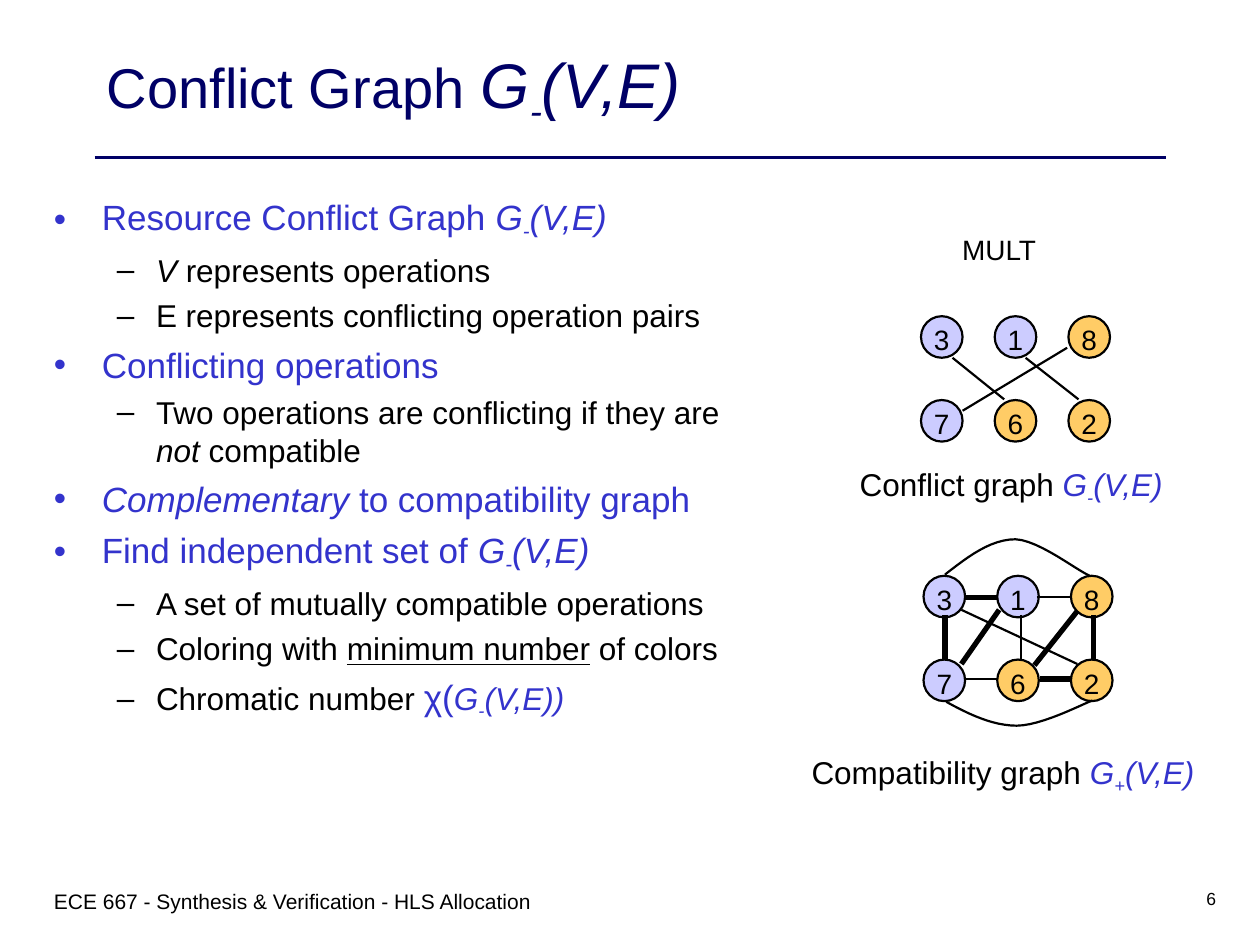
from lxml.etree import SubElement
from pptx import Presentation
from pptx.dml.color import RGBColor
from pptx.enum.shapes import MSO_CONNECTOR as Link, MSO_SHAPE as Shape
from pptx.enum.text import MSO_ANCHOR as Anchor, PP_ALIGN as Align
from pptx.oxml.ns import qn
from pptx.util import Inches, Pt

NAVY = RGBColor(0x00, 0x00, 0x66)
BLUE = RGBColor(0x33, 0x33, 0xCC)
BLACK = RGBColor(0x00, 0x00, 0x00)
LILAC = RGBColor(0xCC, 0xCC, 0xFF)
AMBER = RGBColor(0xFF, 0xCC, 0x66)

THIN, BOLD = 1.25, 3
NODE, STEP, ROW = 0.33, 0.585, 0.665
NODES = [("3", LILAC), ("1", LILAC), ("8", AMBER),
         ("7", LILAC), ("6", AMBER), ("2", AMBER)]

CLASH = [
    (0.25, 0.33, 0.66, 0.66, THIN),
    (0.83, 0.33, 1.25, 0.66, THIN),
    (1.16, 0.25, 0.33, 0.75, THIN),
]
MATCH = [
    (0.32, 0.17, 0.59, 0.17, BOLD),
    (0.17, 0.31, 0.17, 0.67, BOLD),
    (0.32, 0.82, 0.58, 0.82, THIN),
    (0.77, 0.31, 0.77, 0.67, THIN),
    (1.35, 0.31, 1.35, 0.67, BOLD),
    (0.9, 0.17, 1.17, 0.17, THIN),
    (0.92, 0.82, 1.18, 0.82, BOLD),
    (0.6, 0.27, 0.3, 0.7, BOLD),
    (1.22, 0.28, 0.88, 0.71, BOLD),
    (0.3, 0.27, 1.22, 0.7, THIN),
]
ARCS = [
    [(0.17, -0.01), (0.35, -0.15), (0.53, -0.29), (0.73, -0.29),
     (0.92, -0.28), (1.22, -0.04), (1.32, 0)],
    [(0.18, 1), (0.36, 1.1), (0.55, 1.19), (0.74, 1.19),
     (0.93, 1.19), (1.24, 1.03), (1.34, 0.99)],
]


def formula(sign="-", flags="i", tail="(V,E)", size=None):
    return [("G", flags, size), (sign, flags + "s", size), (tail, flags, size)]


POINTS = [
    (0, [("Resource Conflict Graph ",)] + formula()),
    (1, [("V ", "i"), ("represents operations",)]),
    (1, [("E represents conflicting operation pairs",)]),
    (0, [("Conflicting operations",)]),
    (1, [("Two operations are conflicting if they are ",), ("not", "i"),
         (" compatible",)]),
    (0, [("Complementary", "i"), (" to compatibility graph",)]),
    (0, [("Find independent set of ",)] + formula()),
    (1, [("A set of mutually compatible operations",)]),
    (1, [("Coloring with ",), ("minimum number", "u"), (" of colors",)]),
    (1, [("Chromatic number ",), ("χ(", "c", 20)] + formula("-", "ic", "(V,E))")),
]


def write(para, runs, size, color=BLACK):
    para.font.name = "Arial"
    para.font.size = Pt(size)
    para.font.color.rgb = color
    for text, *style in runs:
        flags, large = (style + ["", None])[:2] if style else ("", None)
        run = para.add_run()
        run.text = text
        if "i" in flags:
            run.font.italic = True
        if "u" in flags:
            run.font.underline = True
        if "c" in flags:
            run.font.color.rgb = BLUE
        if "s" in flags:
            run.font._element.set("baseline", "-25000")
        if large:
            run.font.size = Pt(large)


def frame(slide, box):
    text = slide.shapes.add_textbox(*map(Inches, box)).text_frame
    text.word_wrap = True
    return text


def label(slide, box, runs, size, align=Align.LEFT):
    para = frame(slide, box).paragraphs[0]
    para.alignment = align
    write(para, runs, size)


def line(shapes, x1, y1, x2, y2, width, color=BLACK):
    link = shapes.add_connector(Link.STRAIGHT, *map(Inches, (x1, y1, x2, y2)))
    link.line.width = Pt(width)
    link.line.color.rgb = color
    SubElement(link._element.spPr, qn("a:effectLst"))


def header(slide, box):
    left, top, wide, high = box
    line(slide.shapes, left, top + 0.92, left + wide, top + 0.92, 2.25, NAVY)
    text = frame(slide, box)
    text.vertical_anchor = Anchor.MIDDLE
    write(text.paragraphs[0], [("Conflict Graph ",)] + formula(size=36), 32, NAVY)


def bullet(para, level, color):
    props = para._p.get_or_add_pPr()
    left, hang = [(0.38, 0.38), (0.81, 0.31)][level]
    props.set("marL", str(Inches(left)))
    props.set("indent", str(-Inches(hang)))
    tint = SubElement(props, qn("a:buClr"))
    SubElement(tint, qn("a:srgbClr"), val=str(color))
    SubElement(props, qn("a:buFont"), typeface="Arial")
    SubElement(props, qn("a:buChar"), char="•–"[level])


def body(slide, box):
    text = frame(slide, box)
    for i, (level, runs) in enumerate(POINTS):
        para = text.add_paragraph() if i else text.paragraphs[0]
        para.level = level
        size, color = [(20, BLUE), (18, BLACK)][level]
        if i:
            para.space_before = Pt(size / 4)
        bullet(para, level, color)
        write(para, runs, size, color)


def node(shapes, x, y, name, fill):
    disc = shapes.add_shape(Shape.OVAL, *map(Inches, (x, y, NODE, NODE)))
    disc.shadow.inherit = False
    disc.fill.solid()
    disc.fill.fore_color.rgb = fill
    disc.line.color.rgb = BLACK
    disc.line.width = Pt(THIN)
    text = disc.text_frame
    text.word_wrap = False
    text.margin_left = text.margin_right = text.margin_bottom = 0
    text.margin_top = Inches(0.04)
    text.vertical_anchor = Anchor.MIDDLE
    para = text.paragraphs[0]
    para.alignment = Align.CENTER
    write(para, [(name,)], 16)


def bend(a, b, c, d, t):
    s = 1 - t
    return s**3 * a + 3 * s * s * t * b + 3 * s * t * t * c + t**3 * d


def arc(shapes, left, top, pts):
    dots = [(Inches(left + x), Inches(top + y)) for x, y in pts]
    path = []
    for i in range(0, len(dots) - 1, 3):
        xs, ys = zip(*dots[i:i + 4])
        path += [(bend(*xs, k / 12), bend(*ys, k / 12)) for k in range(1, 13)]
    pen = shapes.build_freeform(*dots[0])
    pen.add_line_segments(path, close=False)
    curve = pen.convert_to_shape()
    curve.shadow.inherit = False
    curve.fill.background()
    curve.line.color.rgb = BLACK
    curve.line.width = Pt(THIN)


def graph(slide, left, top, edges, arcs=()):
    shapes = slide.shapes.add_group_shape().shapes
    for i, (name, fill) in enumerate(NODES):
        row, col = divmod(i, 3)
        node(shapes, left + col * STEP, top + row * ROW, name, fill)
    for pts in arcs:
        arc(shapes, left, top, pts)
    for x1, y1, x2, y2, width in edges:
        line(shapes, left + x1, top + y1, left + x2, top + y2, width)


def main():
    deck = Presentation()
    deck.slide_width, deck.slide_height = Inches(10), Inches(7.5)
    slide = deck.slides.add_slide(deck.slide_layouts[6])
    header(slide, (0.75, 0.33, 8.5, 0.75))
    body(slide, (0.33, 1.5, 5.81, 5))
    label(slide, (7.48, 1.8, 0.9, 0.37), [("MULT",)], 16, Align.CENTER)
    graph(slide, 7.31, 2.51, CLASH)
    label(slide, (6.68, 3.64, 2.69, 0.44),
          [("Conflict graph ",)] + formula("-", "ic"), 18, Align.CENTER)
    graph(slide, 7.33, 4.57, MATCH, ARCS)
    label(slide, (6.3, 5.93, 3.32, 0.44),
          [("Compatibility graph ",)] + formula("+", "ic"), 18, Align.CENTER)
    label(slide, (0.33, 7, 4.5, 0.5),
          [("ECE 667 - Synthesis & Verification - HLS Allocation",)], 12)
    label(slide, (7.67, 7, 2.08, 0.5), [("6",)], 10, Align.RIGHT)
    deck.save("out.pptx")


if __name__ == "__main__":
    main()
